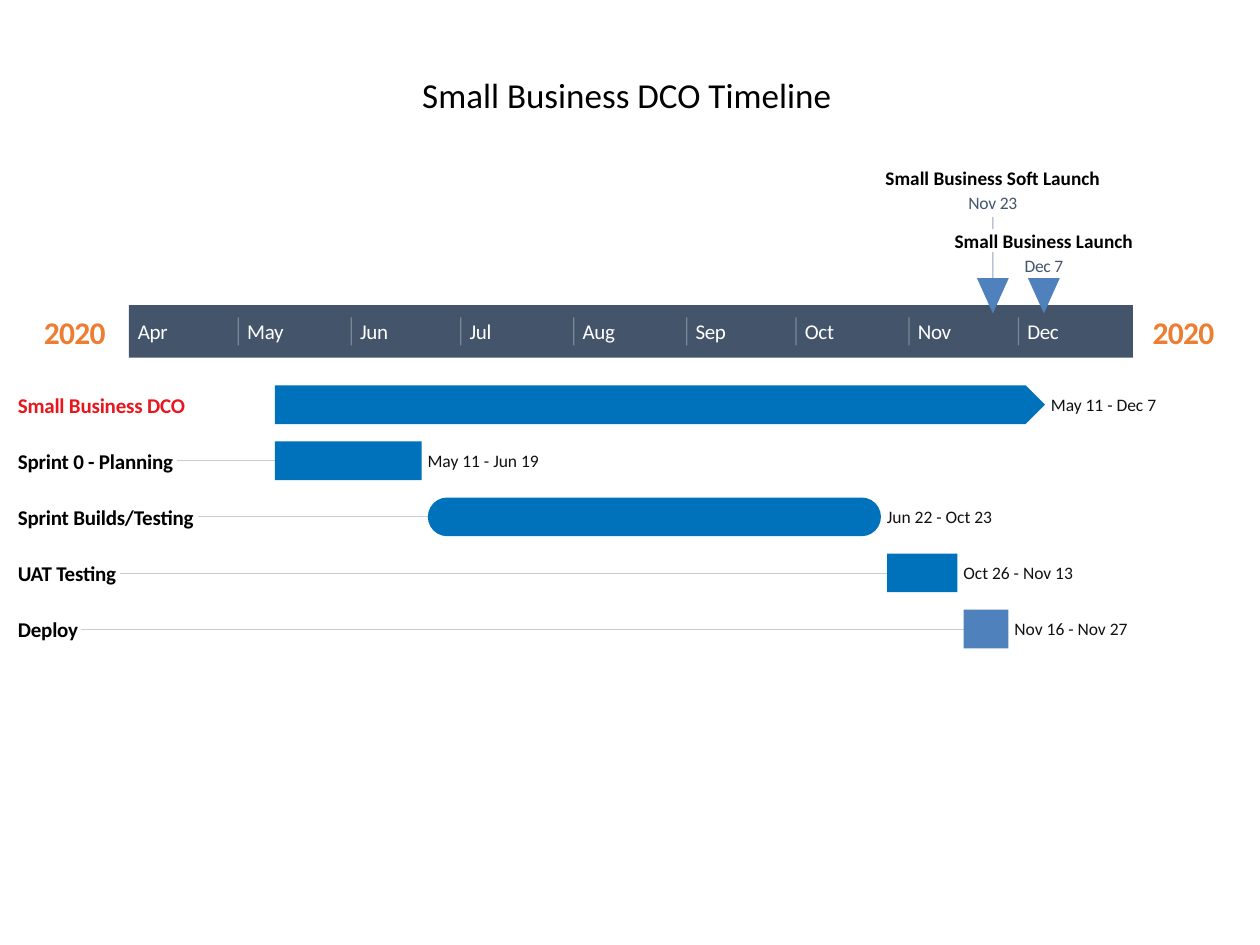
from pptx import Presentation
from pptx.dml.color import RGBColor
from pptx.enum.shapes import MSO_CONNECTOR, MSO_SHAPE
from pptx.enum.text import MSO_ANCHOR, MSO_AUTO_SIZE, PP_ALIGN
from pptx.oxml.ns import qn
from pptx.util import Cm, Pt
from lxml import etree

BLACK = RGBColor(0x00, 0x00, 0x00)
WHITE = RGBColor(0xFF, 0xFF, 0xFF)
INK = RGBColor(0x11, 0x11, 0x11)
GREY = RGBColor(0xCC, 0xCC, 0xCC)
SLATE = RGBColor(0x44, 0x54, 0x6A)
NAVY = RGBColor(0x1F, 0x49, 0x7E)
BLUE = RGBColor(0x00, 0x72, 0xBC)
STEEL = RGBColor(0x4F, 0x81, 0xBD)
ORANGE = RGBColor(0xED, 0x7D, 0x31)
RED = RGBColor(0xEA, 0x16, 0x1E)

RECT = MSO_SHAPE.RECTANGLE
ROUND = MSO_SHAPE.ROUNDED_RECTANGLE
PENTAGON = MSO_SHAPE.PENTAGON
TRIANGLE = MSO_SHAPE.ISOSCELES_TRIANGLE
STRAIGHT = MSO_CONNECTOR.STRAIGHT
LEFT, CENTER = PP_ALIGN.LEFT, PP_ALIGN.CENTER
MIDDLE = MSO_ANCHOR.MIDDLE
NO_FIT = MSO_AUTO_SIZE.NONE

MONTHS = {"Apr": 30, "May": 31, "Jun": 30, "Jul": 31, "Aug": 31,
          "Sep": 30, "Oct": 31, "Nov": 30, "Dec": 31}
MONTH_WIDTHS = [0.61, 0.74, 0.58, 0.43, 0.66, 0.64, 0.58, 0.69, 0.64]
AXIS_X, AXIS_Y, AXIS_W, AXIS_H = 2.6, 6.15, 20.24, 1.06
DAY = 17.93 / 244
NAME_X, ROW_Y, ROW_STEP, BAR_H = 0.36, 8.16, 1.13, 0.78

TASKS = [
    ("Small Business DCO", 3.45, "May 11", "Dec 7", 2.16, PENTAGON, BLUE, RED, None),
    ("Sprint 0 - Planning", 3.2, "May 11", "Jun 19", 2.26, RECT, BLUE, BLACK, 0.75),
    ("Sprint Builds/Testing", 3.63, "Jun 22", "Oct 23", 2.16, ROUND, BLUE, BLACK, 0.5),
    ("UAT Testing", 2.06, "Oct 26", "Nov 13", 2.24, RECT, BLUE, BLACK, 0.5),
    ("Deploy", 1.27, "Nov 16", "Nov 27", 2.29, RECT, STEEL, BLACK, 0.5),
]
MILESTONES = [
    ("Small Business Soft Launch", 4.34, "Nov 23", 1.02, 3.59),
    ("Small Business Launch", 3.61, "Dec 7", 0.81, 4.86),
]


def date_x(date, extra=0.0):
    month, day = date.split()
    names = list(MONTHS)
    before = sum(MONTHS[m] for m in names[:names.index(month)])
    return AXIS_X + (before + int(day) - 1 + extra) * DAY


class Timeline:
    font = "Calibri"

    def __init__(self, prs):
        self.slide = prs.slides.add_slide(prs.slide_layouts[5])
        self.shapes = self.slide.shapes

    def format(self, tf, size, color, bold, align, spacing):
        tf.vertical_anchor = MIDDLE
        tf.auto_size = NO_FIT
        p = tf.paragraphs[0]
        p.alignment = align
        r = p.runs[0]
        r.font.name = self.font
        r.font.size = Pt(size)
        r.font.bold = bold
        r.font.color.rgb = color
        if spacing:
            r.font._element.set("spc", str(spacing))

    def title(self, text):
        sp = self.shapes.title
        sp.left, sp.top, sp.width, sp.height = Cm(0.74), Cm(1.52), Cm(23.95), Cm(0.76)
        sp.text_frame.text = text
        self.format(sp.text_frame, 20, BLACK, False, CENTER, 0)

    def text(self, text, x, mid_y, w, h, size, color, bold=False, align=LEFT, spacing=0):
        left = x - w / 2 if align == CENTER else x
        tf = self.shapes.add_textbox(Cm(left), Cm(mid_y - h / 2), Cm(w), Cm(h)).text_frame
        tf.margin_left = tf.margin_right = tf.margin_top = tf.margin_bottom = 0
        tf.word_wrap = False
        tf.text = text
        self.format(tf, size, color, bold, align, spacing)

    def shape(self, kind, x, y, w, h, color):
        sp = self.shapes.add_shape(kind, Cm(x), Cm(y), Cm(w), Cm(h))
        sp.shadow.inherit = False
        sp.fill.solid()
        sp.fill.fore_color.rgb = color
        sp.line.fill.background()
        return sp

    def line(self, x1, y1, x2, y2, color, width, alpha=100):
        cn = self.shapes.add_connector(STRAIGHT, Cm(x1), Cm(y1), Cm(x2), Cm(y2))
        cn.line.width = Pt(width)
        cn.line.color.rgb = color
        spPr = cn._element.spPr
        if alpha < 100:
            clr = spPr.find(".//" + qn("a:srgbClr"))
            etree.SubElement(clr, qn("a:alpha")).set("val", str(alpha * 1000))
        etree.SubElement(spPr, qn("a:effectLst"))

    def axis(self):
        mid = AXIS_Y + AXIS_H / 2
        for x in (1.51, 23.86):
            self.text("2020", x, mid + 0.02, 1.24, 0.79, 18, ORANGE, True, CENTER, -40)
        self.shape(RECT, AXIS_X, AXIS_Y, AXIS_W, AXIS_H, SLATE)
        for i, (month, w) in enumerate(zip(MONTHS, MONTH_WIDTHS)):
            x = date_x(month + " 1")
            if i:
                self.line(x, mid - 0.28, x, mid + 0.28, WHITE, 0.75, 30)
            self.text(month, x + 0.18, mid, w, 0.51, 12, WHITE, spacing=-20)

    def milestone(self, name, name_w, date, date_w, mid_y):
        x = date_x(date, 1)
        self.text(name, x, mid_y, name_w, 0.48, 11, BLACK, True, CENTER)
        self.text(date, x, mid_y + 0.49, date_w, 0.43, 10, SLATE, False, CENTER, -10)
        sp = self.shape(TRIANGLE, x - 0.32, 5.61, 0.64, 0.71, STEEL)
        sp._element.spPr.xfrm.set("flipV", "1")

    def task(self, mid_y, name, name_w, start, end, dates_w, kind, fill, color, leader):
        x1, x2 = date_x(start), date_x(end, 1.3)
        if leader:
            self.line(NAME_X + name_w, mid_y, x1, mid_y, GREY, leader)
        sp = self.shape(kind, x1, mid_y - BAR_H / 2, x2 - x1, BAR_H, fill)
        if kind == ROUND:
            sp.adjustments[0] = 1
        self.text(f"{start} - {end}", x2 + 0.12, mid_y, dates_w, 0.43, 10, INK)
        self.text(name, NAME_X, mid_y, name_w, 0.51, 12, color, True, spacing=-10)


def main():
    prs = Presentation()
    prs.slide_width, prs.slide_height = Cm(25.4), Cm(19.05)
    chart = Timeline(prs)
    chart.title("Small Business DCO Timeline ")
    launch_x = date_x("Nov 23", 1)
    for y1, y2 in ((4.37, 4.62), (5.08, 5.97)):
        chart.line(launch_x, y1, launch_x, y2, NAVY, 0.5, 50)
    chart.axis()
    for milestone in MILESTONES:
        chart.milestone(*milestone)
    for i, task in enumerate(TASKS):
        chart.task(ROW_Y + i * ROW_STEP, *task)
    prs.save("out.pptx")


if __name__ == "__main__":
    main()
